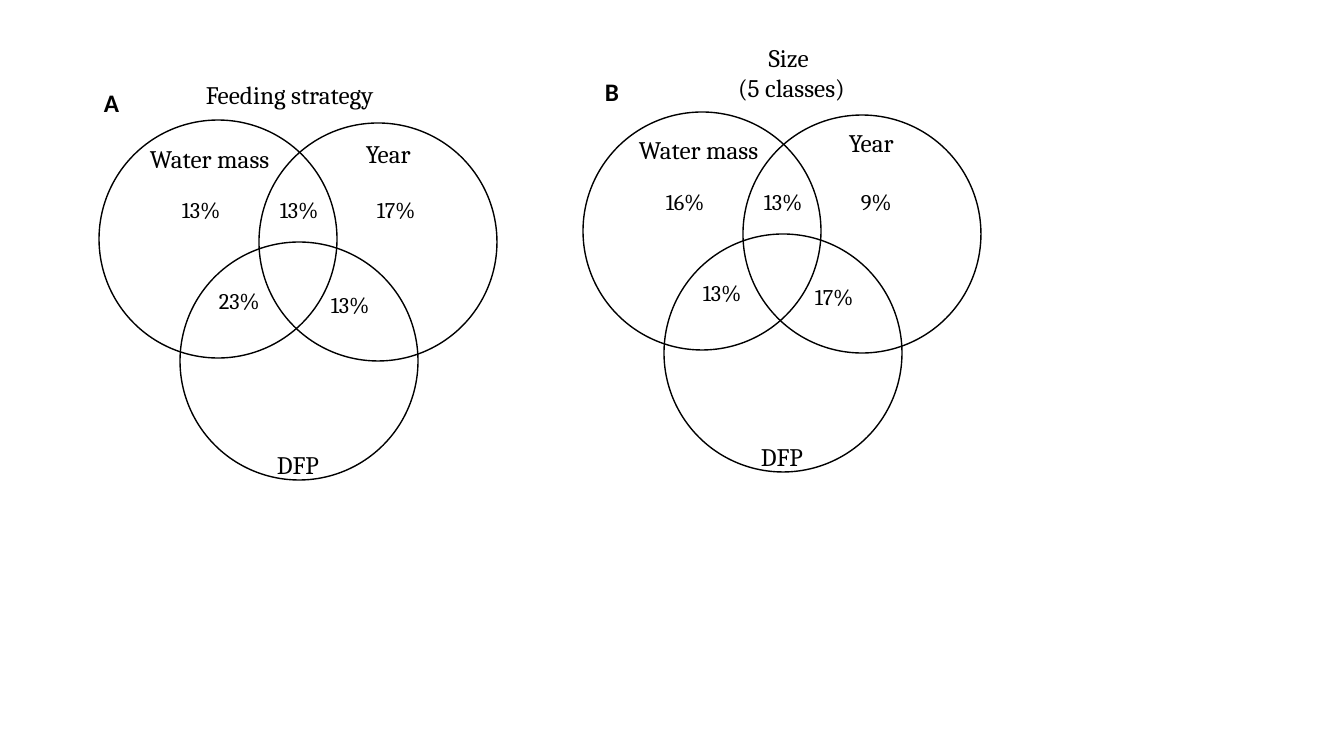
from dataclasses import dataclass
from typing import NamedTuple

from pptx import Presentation
from pptx import util as u
from pptx.dml.color import RGBColor
from pptx.enum import shapes, text

SCALE = 914400 / 100.8  # EMU per pixel


@dataclass(frozen=True)
class Theme:
    ink: RGBColor = RGBColor(0, 0, 0)
    serif: str = "Cambria"
    sans: str = "Calibri"
    label: int = 18
    share: int = 16
    line: int = 1


class Box(NamedTuple):
    x: int
    y: int
    w: int
    h: int = 40


@dataclass(frozen=True)
class Panel:
    letter: str
    mark: Box
    title: str
    head: Box
    water: Box
    year: Box
    x: int  # corner of the first circle
    y: int
    shares: tuple[str, ...]


THEME = Theme()
SIDE = 238

# Places measured from the corner of a panel
RINGS = ((0, 0), (160, 3), (81, 122))
SPOTS = (  # water, year, water-year, water-DFP, year-DFP
    Box(73, 71, 68, 37), Box(268, 71, 66, 37), Box(171, 71, 66, 37),
    Box(110, 162, 66, 37), Box(222, 166, 66, 37),
)
DFP = Box(168, 324, 66)

PANELS = (
    Panel("A", Box(94, 82, 35), "Feeding strategy", Box(196, 74, 200),
          Box(140, 138, 147), Box(356, 133, 68), 99, 120,
          ("13%", "17%", "13%", "23%", "13%")),
    Panel("B", Box(595, 71, 34), "Size \n(5 classes)", Box(724, 37, 135, 72),
          Box(629, 129, 147), Box(839, 122, 68), 583, 112,
          ("16%", "9%", "13%", "13%", "17%")),
)


def px(n: float) -> u.Emu:
    return u.Emu(round(n * SCALE))


def put(obj: object, **vals: object) -> None:
    for key, val in vals.items():
        setattr(obj, key, val)


def ring(x: int, y: int) -> None:
    shape = slide.shapes.add_shape(
        shapes.MSO_SHAPE.OVAL, px(x), px(y), px(SIDE), px(SIDE))
    shape.shadow.inherit = False
    shape.fill.background()
    shape.line.color.rgb = THEME.ink
    shape.line.width = u.Pt(THEME.line)


def write(words: str, box: Box, size: int = THEME.label,
          face: str = THEME.serif, bold: bool = False) -> None:
    frame = slide.shapes.add_textbox(*map(px, box)).text_frame
    put(frame, text=words, word_wrap=False,
        auto_size=text.MSO_AUTO_SIZE.SHAPE_TO_FIT_TEXT)
    lines = frame.paragraphs
    for line in lines:
        if len(lines) > 1:
            line.alignment = text.PP_ALIGN.CENTER
        for run in line.runs:
            put(run.font, name=face, size=u.Pt(size), bold=bold)
            run.font.color.rgb = THEME.ink


def venn(panel: Panel) -> None:
    # Circles
    for dx, dy in RINGS:
        ring(panel.x + dx, panel.y + dy)

    # Set names and title
    write("Water mass", panel.water)
    write("Year", panel.year)
    write("DFP", DFP._replace(x=panel.x + DFP.x, y=panel.y + DFP.y))
    write(panel.title, panel.head)
    write(panel.letter, panel.mark, face=THEME.sans, bold=True)

    # Shares
    for share, spot in zip(panel.shares, SPOTS):
        wide = spot.w if len(share) > 2 else 53
        write(share, Box(panel.x + spot.x, panel.y + spot.y, wide, spot.h),
              THEME.share)


deck = Presentation()
put(deck, slide_width=px(1344), slide_height=px(756))
slide = deck.slides.add_slide(deck.slide_layouts[6])
for panel in PANELS:
    venn(panel)
deck.save("out.pptx")
